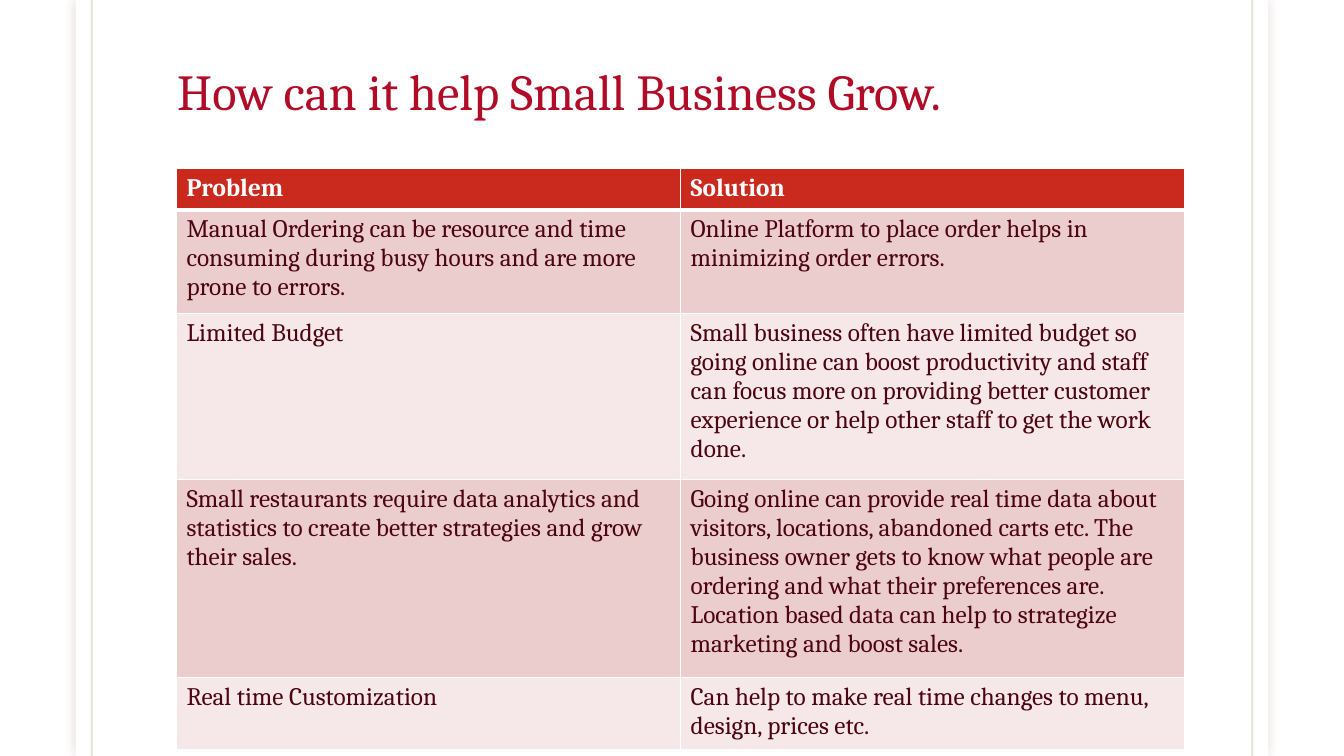
import pptx
import pptx.util
import pptx.dml.color
import pptx.enum.shapes
import pptx.enum.text
import pptx.oxml
import pptx.oxml.ns
from lxml import etree

Inches, Pt = pptx.util.Inches, pptx.util.Pt

# Content
TITLE = "How can it help Small Business Grow."
ROWS = [
    ("Problem", "Solution"),
    ("Manual Ordering can be resource and time consuming during busy hours and are more prone to errors.",
     "Online Platform to place order helps in minimizing order errors."),
    ("Limited Budget",
     "Small business often have limited budget so going online can boost productivity and staff can focus "
     "more on providing better customer experience or help other staff to get the work done."),
    ("Small restaurants require data analytics and statistics to create better strategies and grow their sales.",
     "Going online can provide real time data about visitors, locations, abandoned carts etc. The business "
     "owner gets to know what people are ordering and what their preferences are. Location based data can "
     "help to strategize marketing and boost sales."),
    ("Real time Customization",
     "Can help to make real time changes to menu, design, prices etc."),
]

# Layout and style
WIDTH, HEIGHT = 13.33, 7.5
PAGE_MARGIN, RULE_INSET = 0.75, 0.16
TABLE_LEFT, TABLE_TOP, COLUMN_WIDTH = 1.75, 1.67, 5
ROW_HEIGHTS = [0.41, 1.03, 1.65, 1.96, 0.72]
FONT = "Cambria"
COLORS = {"page": "FFFFFF", "shadow": "65150F", "rule": "79540B", "title": "B10C27",
          "header": "CA2A1E", "dark band": "ECCDCD", "light band": "F6E8E8",
          "header text": "FFFFFF", "body text": "4D0511", "border": "FFFFFF"}


def rgb(name):
    return pptx.dml.color.RGBColor.from_string(COLORS[name])


def add_element(parent, tag, **attributes):
    element = etree.SubElement(parent, pptx.oxml.ns.qn(tag))
    for key, value in attributes.items():
        element.set(key, str(value))
    return element


def style_text(paragraph, size, color, bold=False):
    paragraph.font.name = FONT
    paragraph.font.size = Pt(size)
    paragraph.font.bold = bold
    paragraph.font.color.rgb = rgb(color)


def add_page(slide):
    page = slide.shapes.add_shape(pptx.enum.shapes.MSO_SHAPE.RECTANGLE, Inches(PAGE_MARGIN), 0,
                                  Inches(WIDTH - 2 * PAGE_MARGIN), Inches(HEIGHT))
    page.fill.solid()
    page.fill.fore_color.rgb = rgb("page")
    page.line.fill.background()
    page.shadow.inherit = False
    effects = page._element.spPr.find(pptx.oxml.ns.qn("a:effectLst"))
    shadow = add_element(effects, "a:outerShdw", blurRad=Pt(7), dist=0, dir=0, rotWithShape=0)
    color = add_element(shadow, "a:srgbClr", val=COLORS["shadow"])
    add_element(color, "a:alpha", val=15000)


def add_rule(slide, x):
    rule = slide.shapes.add_connector(pptx.enum.shapes.MSO_CONNECTOR.STRAIGHT,
                                      Inches(x), 0, Inches(x), Inches(HEIGHT))
    rule.line.width = Pt(1.5)
    rule.line.color.rgb = rgb("rule")
    color = rule._element.spPr.find(".//" + pptx.oxml.ns.qn("a:srgbClr"))
    add_element(color, "a:alpha", val=15000)
    add_element(rule._element.spPr, "a:effectLst")


def add_title(slide):
    box = slide.shapes.add_textbox(Inches(1.66), Inches(0.35), Inches(10), Inches(0.9))
    frame = box.text_frame
    frame.word_wrap = True
    frame.vertical_anchor = pptx.enum.text.MSO_ANCHOR.BOTTOM
    frame.text = TITLE
    frame.paragraphs[0].line_spacing = 0.85
    style_text(frame.paragraphs[0], 36, "title")


def add_borders(cell, bottom_width):
    properties = cell._tc.get_or_add_tcPr()
    for side, width in (("L", 1), ("R", 1), ("T", 1), ("B", bottom_width)):
        line = add_element(properties, "a:ln" + side, w=Pt(width))
        add_element(add_element(line, "a:solidFill"), "a:srgbClr", val=COLORS["border"])


def add_problem_table(slide):
    columns = len(ROWS[0])
    table = slide.shapes.add_table(len(ROWS), columns, Inches(TABLE_LEFT), Inches(TABLE_TOP),
                                   Inches(columns * COLUMN_WIDTH), Inches(sum(ROW_HEIGHTS))).table
    for column in table.columns:
        column.width = Inches(COLUMN_WIDTH)
    for index, (texts, height) in enumerate(zip(ROWS, ROW_HEIGHTS)):
        table.rows[index].height = Inches(height)
        header = index == 0
        fill = "header" if header else "dark band" if index % 2 else "light band"
        for cell, text in zip(table.rows[index].cells, texts):
            cell.text = text
            style_text(cell.text_frame.paragraphs[0], 18,
                       "header text" if header else "body text", header)
            add_borders(cell, 3 if header else 1)
            cell.fill.solid()
            cell.fill.fore_color.rgb = rgb(fill)


def main():
    presentation = pptx.Presentation()
    presentation.slide_width = Inches(WIDTH)
    presentation.slide_height = Inches(HEIGHT)
    slide = presentation.slides.add_slide(presentation.slide_layouts[6])

    # Page with a rule along each side
    add_page(slide)
    rule_x = PAGE_MARGIN + RULE_INSET
    for x in (rule_x, WIDTH - rule_x):
        add_rule(slide, x)

    # Table and title
    add_problem_table(slide)
    add_title(slide)
    presentation.save("out.pptx")


if __name__ == "__main__":
    main()
